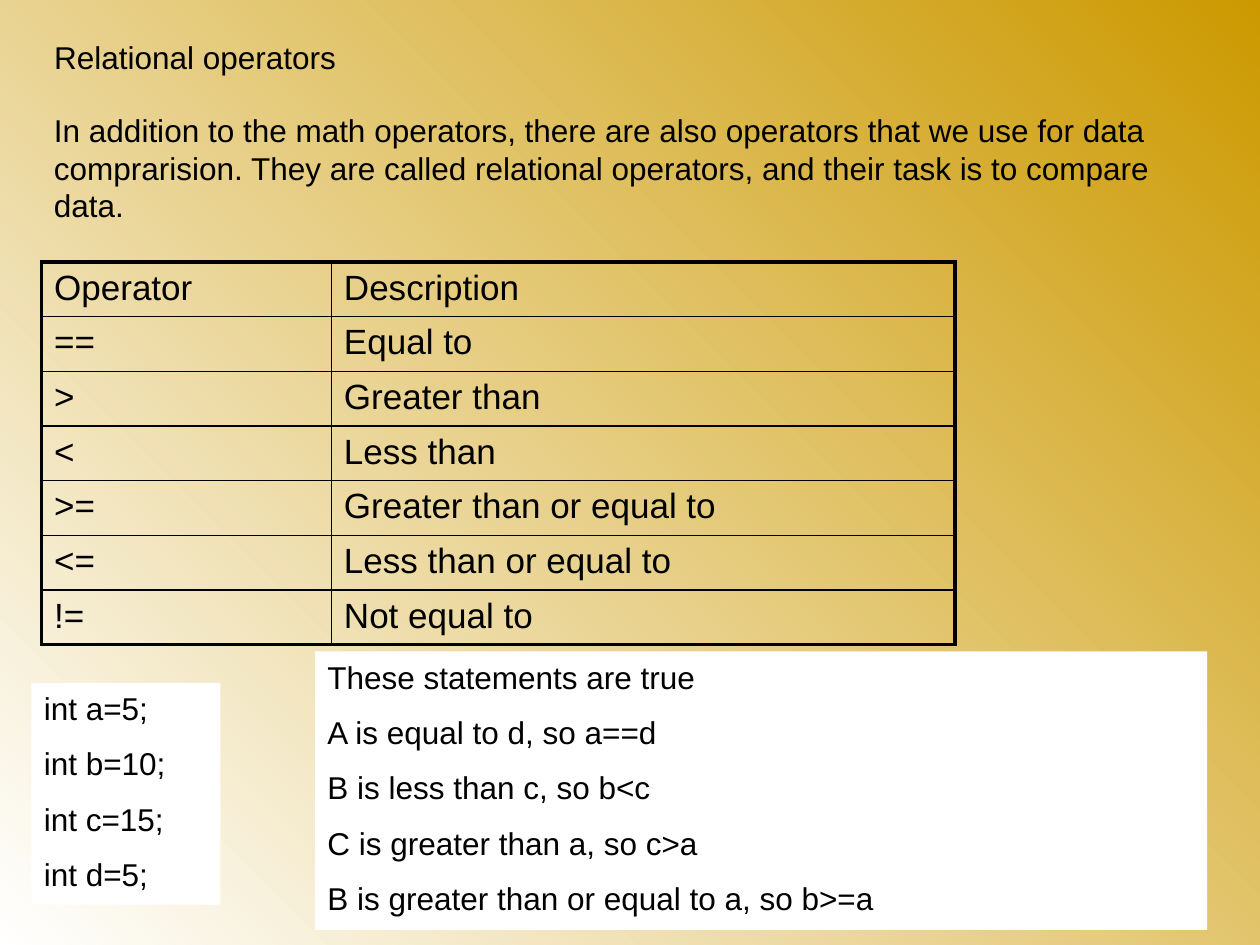
from lxml import etree
from pptx import Presentation, util as u
from pptx.dml.color import RGBColor
from pptx.enum import shapes, text
from pptx.oxml.ns import qn

COLORS = {"ink": "000000", "paper": "FFFFFF", "gold": "CC9900"}
FONT = "Arial"
SLIDE_W, SLIDE_H = 10, 7.5
MARGIN = 0.33

HEADING = "Relational operators"
INTRO = ("In addition to the math operators, there are also operators that we use "
         "for data comprarision. They are called relational operators, and their "
         "task is to compare data.")
OPERATORS = [
    ("Operator", "Description"),
    ("==", "Equal to"),
    (">", "Greater than"),
    ("<", "Less than"),
    (">=", "Greater than or equal to"),
    ("<=", "Less than or equal to"),
    ("!=", "Not equal to"),
]
COLUMN_WIDTHS = [2.3, 4.95]
TABLE_TOP, TABLE_HEIGHT = 2.08, 3.03
OUTER_LINE, INNER_LINE = 2.25, 1

# Panels: left, top, width, height, lines
PANELS = [
    (0.25, 5.42, 1.5, 1.76, ["int a=5;", "int b=10;", "int c=15;", "int d=5;"]),
    (2.5, 5.17, 7.08, 2.21, [
        "These statements are true",
        "A is equal to d, so a==d",
        "B is less than c, so b<c",
        "C is greater than a, so c>a",
        "B is greater than or equal to a, so b>=a",
    ]),
]


def color(name):
    return RGBColor.from_string(COLORS[name])


def inches(*lengths):
    return [u.Inches(length) for length in lengths]


def write(frame, lines, size=18):
    """Fill a text frame with left-aligned paragraphs, half a line apart."""
    frame.word_wrap = True
    frame.vertical_anchor = text.MSO_ANCHOR.TOP
    frame.text = "\n".join(lines)
    for i, paragraph in enumerate(frame.paragraphs):
        paragraph.alignment = text.PP_ALIGN.LEFT
        paragraph.space_before = u.Pt(10 if i else 0)
        paragraph.font.size = u.Pt(size)
        paragraph.font.name = FONT
        paragraph.font.color.rgb = color("ink")


def draw_borders(cell, widths):
    """Add cell borders; widths are left, right, top, bottom in points."""
    properties = cell._tc.get_or_add_tcPr()
    for side, width in zip("LRTB", widths):
        line = etree.SubElement(properties, qn(f"a:ln{side}"), w=str(u.Pt(width)))
        fill = etree.SubElement(line, qn("a:solidFill"))
        etree.SubElement(fill, qn("a:srgbClr"), val=COLORS["ink"])


def add_operator_table(slide):
    rows, columns = len(OPERATORS), len(COLUMN_WIDTHS)
    table = slide.shapes.add_table(
        rows, columns, *inches(MARGIN, TABLE_TOP, sum(COLUMN_WIDTHS), TABLE_HEIGHT)
    ).table
    table.first_row = table.horz_banding = False
    for column, width in zip(table.columns, COLUMN_WIDTHS):
        column.width = u.Inches(width)
    for r, entries in enumerate(OPERATORS):
        table.rows[r].height = u.Inches(TABLE_HEIGHT / rows)
        for c, entry in enumerate(entries):
            cell = table.cell(r, c)
            write(cell.text_frame, [entry], size=20)
            on_edge = (c == 0, c == columns - 1, r == 0, r == rows - 1)
            draw_borders(cell, [OUTER_LINE if edge else INNER_LINE for edge in on_edge])
            cell.fill.background()


def main():
    deck = Presentation()
    deck.slide_width, deck.slide_height = inches(SLIDE_W, SLIDE_H)
    slide = deck.slides.add_slide(deck.slide_layouts[5])

    # Background, white at lower left to gold at upper right
    backdrop = slide.background.fill
    backdrop.gradient()
    backdrop.gradient_angle = 45
    for stop, name in zip(backdrop.gradient_stops, ("paper", "gold")):
        stop.color.rgb = color(name)

    # Heading and introduction
    heading = slide.shapes.title
    heading.left, heading.top, heading.width, heading.height = inches(MARGIN, 0.25, 9.42, 0.4)
    write(heading.text_frame, [HEADING])
    heading.text_frame.auto_size = text.MSO_AUTO_SIZE.NONE
    intro = slide.shapes.add_textbox(*inches(MARGIN, 0.83, 9.08, 1))
    write(intro.text_frame, [INTRO])

    add_operator_table(slide)

    # Declarations and true statements
    for *place, lines in PANELS:
        panel = slide.shapes.add_shape(shapes.MSO_SHAPE.RECTANGLE, *inches(*place))
        panel.shadow.inherit = False
        panel.fill.solid()
        panel.fill.fore_color.rgb = color("paper")
        panel.line.fill.background()
        write(panel.text_frame, lines)

    deck.save("out.pptx")


if __name__ == "__main__":
    main()
